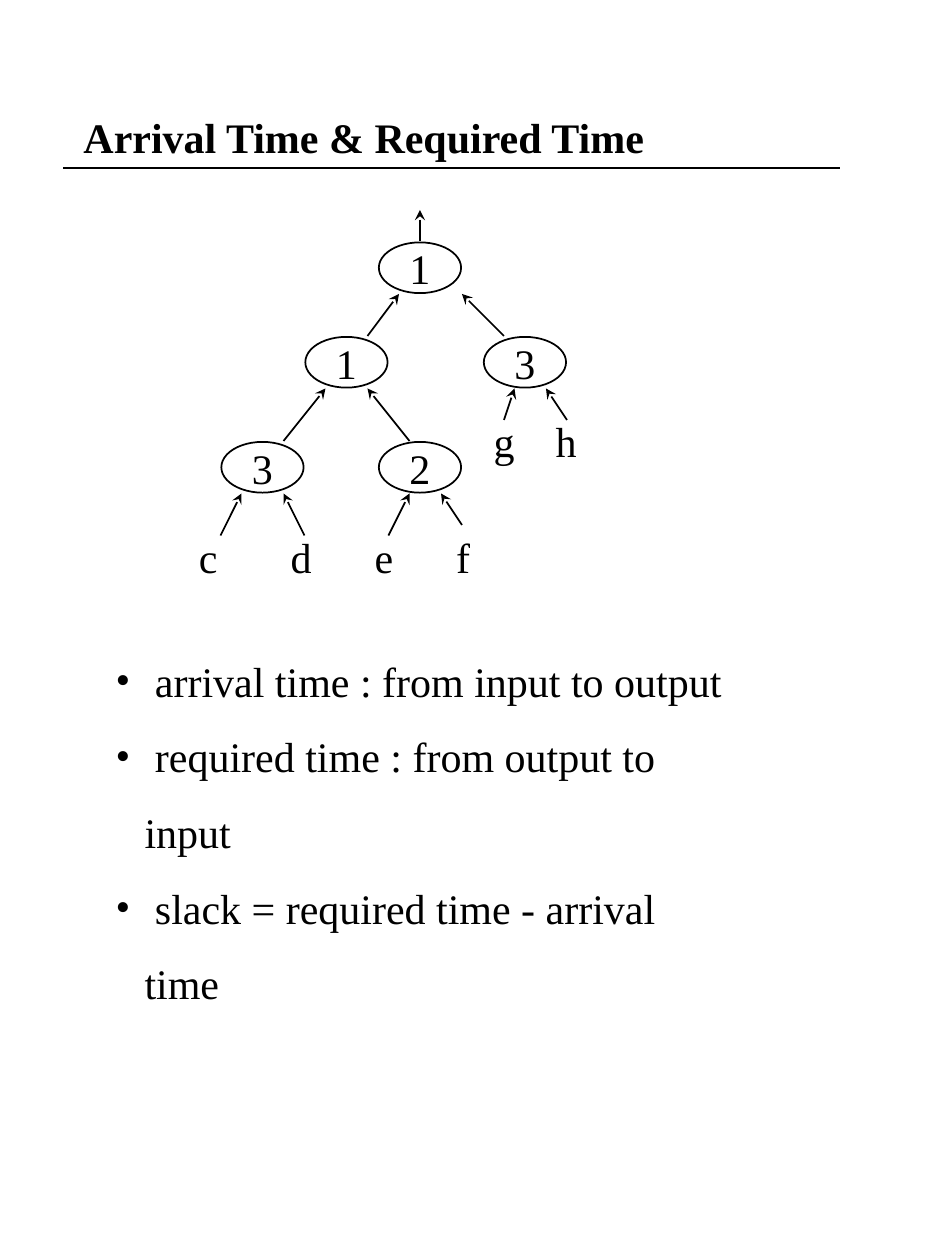
from lxml import etree
from pptx import Presentation
from pptx.dml.color import RGBColor
from pptx.enum import shapes, text
from pptx.oxml import ns
from pptx.util import Pt

COLOURS = {"ink": "000000", "paper": "FFFFFF"}
FONT, SIZE, STROKE = "Times New Roman", 24, 1
TITLE = "Arrival Time & Required Time"
DEFINITIONS = [
    " arrival time : from input to output",
    " required time : from output to input",
    " slack = required time - arrival time",
]
# delay, centre x, centre y
GATES = [("1", 240, 153), ("1", 198, 207), ("3", 300, 207), ("2", 240, 267), ("3", 150, 267)]
GATE_W, GATE_H = 47, 29
# arrow tip, then the end the signal comes from
SIGNALS = [
    ((138, 282), (126, 306)), ((162, 282), (174, 306)),
    ((234, 282), (222, 306)), ((252, 282), (264, 300)),
    ((210, 222), (234, 252)), ((264, 168), (288, 192)),
    ((186, 222), (162, 252)), ((228, 168), (210, 192)),
    ((312, 222), (324, 240)), ((294, 222), (288, 240)),
    ((240, 120), (240, 138)),
]
# input names, box, tab stops
INPUTS = [
    ("c\td\te\tf", (106.5, 300, 170, 36), (52.5, 100.5, 147)),
    ("g\th", (275, 234, 63, 36), (35.5,)),
]


def add_xml(parent, tag, **attributes):
    """Append a DrawingML element and return it."""
    values = {key: str(value) for key, value in attributes.items()}
    return etree.SubElement(parent, ns.qn(tag), values)


def write(frame, lines, bold=False, align=text.PP_ALIGN.LEFT, anchor=text.MSO_ANCHOR.TOP,
          wrap=True, spacing=None, bullet_indent=0, tabs=()):
    """Fill a text frame with one formatted paragraph per line."""
    frame.word_wrap, frame.vertical_anchor = wrap, anchor
    frame.text = "\n".join(lines)
    for paragraph in frame.paragraphs:
        paragraph.alignment = align
        if spacing:
            paragraph.line_spacing = spacing
        font = paragraph.runs[0].font
        font.name, font.size, font.bold = FONT, Pt(SIZE), bold
        font.color.rgb = RGBColor.from_string(COLOURS["ink"])
        properties = paragraph._p.get_or_add_pPr()
        if bullet_indent:
            properties.set("marL", str(Pt(bullet_indent)))
            properties.set("indent", str(-Pt(bullet_indent)))
            add_xml(properties, "a:buFont", typeface=FONT)
            add_xml(properties, "a:buChar", char="•")
        if tabs:
            stops = add_xml(properties, "a:tabLst")
            for stop in tabs:
                add_xml(stops, "a:tab", pos=Pt(stop), algn="l")


def add_line(slide, start, end, arrow=False):
    """Draw a straight line, with an arrowhead at its start if asked."""
    line = slide.shapes.add_connector(shapes.MSO_CONNECTOR.STRAIGHT, *map(Pt, start + end))
    line.line.width = Pt(STROKE)
    line.line.color.rgb = RGBColor.from_string(COLOURS["ink"])
    if arrow:
        add_xml(line.line._get_or_add_ln(), "a:headEnd", type="stealth")
    add_xml(line._element.spPr, "a:effectLst")


def add_gate(slide, delay, x, y):
    """Draw a half-transparent ellipse holding a gate delay."""
    box = (x - GATE_W / 2, y - GATE_H / 2, GATE_W, GATE_H)
    gate = slide.shapes.add_shape(shapes.MSO_SHAPE.OVAL, *map(Pt, box))
    gate.shadow.inherit = False
    gate.fill.solid()
    gate.fill.fore_color.rgb = RGBColor.from_string(COLOURS["paper"])
    add_xml(gate._element.spPr.find(".//" + ns.qn("a:srgbClr")), "a:alpha", val=50000)
    gate.line.width = Pt(STROKE)
    gate.line.color.rgb = RGBColor.from_string(COLOURS["ink"])
    write(gate.text_frame, [delay], align=text.PP_ALIGN.CENTER,
          anchor=text.MSO_ANCHOR.MIDDLE, wrap=False)


deck = Presentation()
deck.slide_width, deck.slide_height = Pt(540), Pt(720)
slide = deck.slides.add_slide(deck.slide_layouts[5])

heading = slide.shapes.title
heading.left, heading.top, heading.width, heading.height = map(Pt, (40.5, 36, 459, 84))
write(heading.text_frame, [TITLE], bold=True, anchor=text.MSO_ANCHOR.MIDDLE)
add_line(slide, (36, 96), (480, 96))

definitions = slide.shapes.add_textbox(*map(Pt, (59, 356.5, 370, 137)))
write(definitions.text_frame, DEFINITIONS, spacing=1.5, bullet_indent=16.5)

for gate in GATES:
    add_gate(slide, *gate)
for tip, origin in SIGNALS:
    add_line(slide, tip, origin, arrow=True)
for names, box, tabs in INPUTS:
    inputs = slide.shapes.add_textbox(*map(Pt, box))
    write(inputs.text_frame, [names], tabs=tabs)

deck.save("out.pptx")
